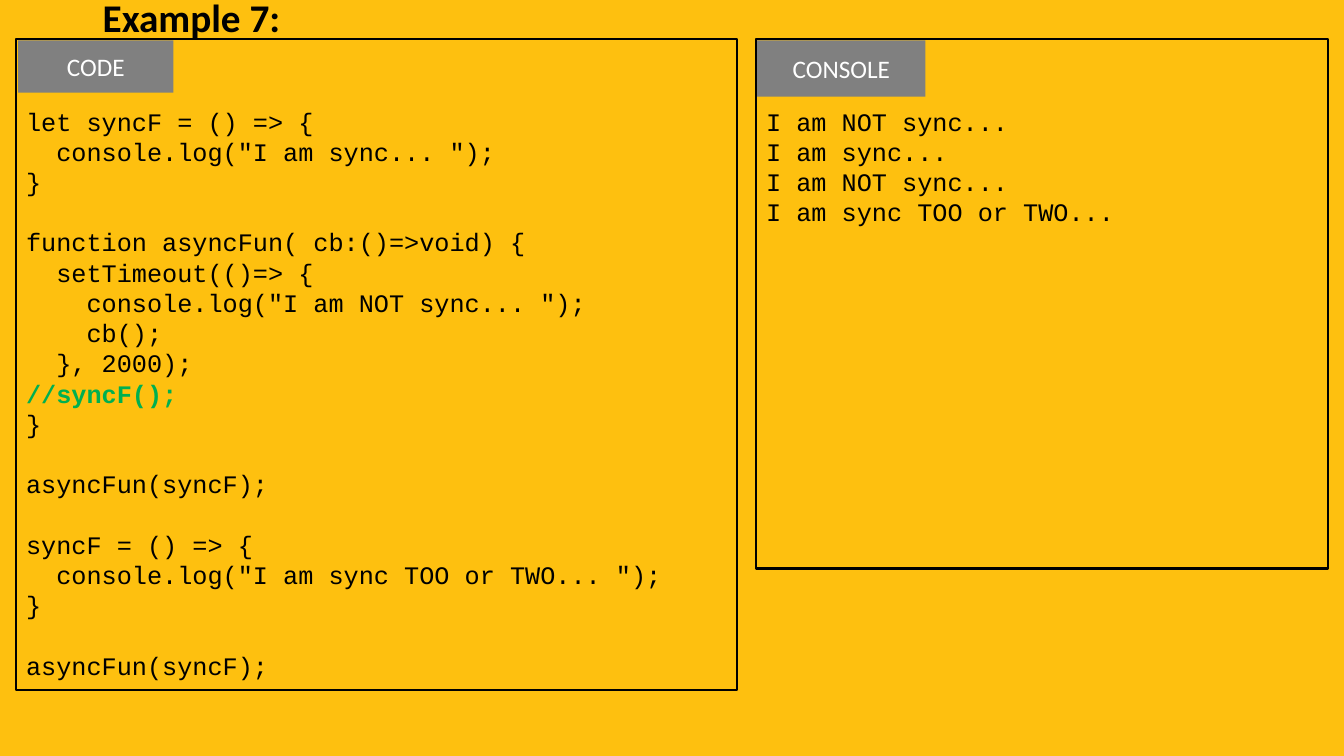
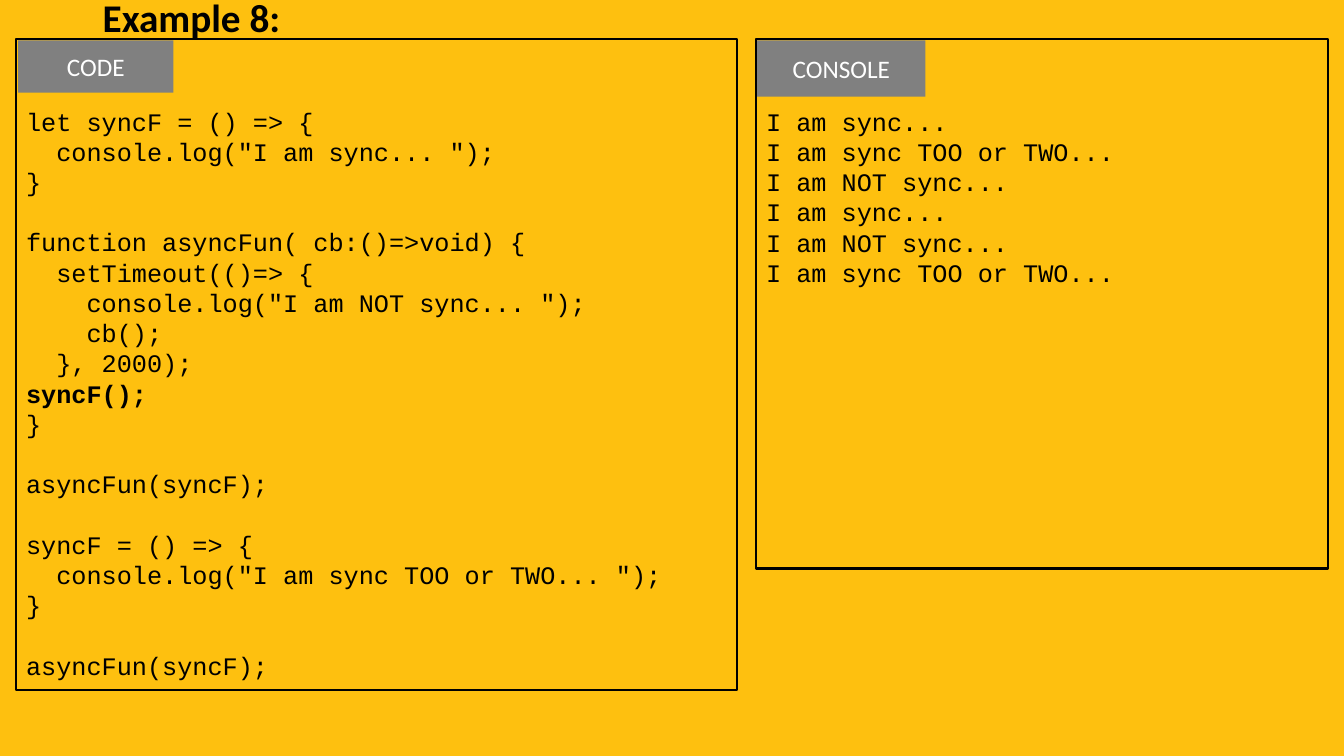
from pptx import Presentation
from pptx.dml.color import RGBColor as RGB
from pptx.enum.shapes import MSO_SHAPE as Shape
from pptx.enum.text import MSO_ANCHOR as Anchor, PP_ALIGN as Align
from pptx.util import Inches, Pt

HEAD = [
    ["let syncF = () => {", '  console.log("I am sync... ");', "}"],
    [
        "function asyncFun( cb:()=>void) {",
        "  setTimeout(()=> {",
        '    console.log("I am NOT sync... ");',
        "    cb();",
        "  }, 2000);",
    ],
]
TAIL = [
    ["asyncFun(syncF);"],
    ["syncF = () => {", '  console.log("I am sync TOO or TWO... ");', "}"],
    ["asyncFun(syncF);"],
]
SYNC, LATE, TOO = "I am sync...", "I am NOT sync...", "I am sync TOO or TWO..."

SLIDES = [
    dict(title="Example 7:", call="//syncF();", tone="note",
         log=[LATE, SYNC, LATE, TOO]),
    dict(title="Example 8:", call="syncF();", tone="ink",
         log=[SYNC, TOO, LATE, SYNC, LATE, TOO]),
]

THEME = dict(
    back=RGB(0xFE, 0xC0, 0x0F), ink=RGB(0, 0, 0), note=RGB(0x00, 0xB0, 0x50),
    tag=RGB(0x80, 0x80, 0x80), pale=RGB(0xFF, 0xFF, 0xFF),
    sans="Calibri", mono="Courier New", body=Pt(18), head=Pt(28),
    edge=Pt(1.5), gap=Pt(21.6), step=Inches(0.15), top=Inches(0.66),
)

PANELS = {
    "code": dict(box=(0.16, 0.39, 7.15, 6.46), tag=(0.18, 0.4, 1.54, 0.52)),
    "console": dict(box=(7.5, 0.39, 5.67, 5.25), tag=(7.51, 0.4, 1.67, 0.56)),
}
TITLE = (0.92, 0.03, 11.5, 0.34)


def place(area):
    return [Inches(v) for v in area]


def apply(item, **vals):
    for name, val in vals.items():
        setattr(item, name, val)


def write(para, text, tone="ink", face="mono", size="body", bold=False):
    run = para.add_run()
    run.text = text
    apply(run.font, name=THEME[face], size=THEME[size], bold=bold)
    run.font.color.rgb = THEME[tone]


def add_rect(slide, area, fill=None, edge=None):
    rect = slide.shapes.add_shape(Shape.RECTANGLE, *place(area))
    rect.shadow.inherit = False
    if fill:
        rect.fill.solid()
        rect.fill.fore_color.rgb = THEME[fill]
    else:
        rect.fill.background()
    if edge:
        rect.line.color.rgb = THEME[edge]
        rect.line.width = THEME["edge"]
    else:
        rect.line.fill.background()
    return rect.text_frame


def add_panel(slide, name, blocks, marks):
    frame = add_rect(slide, PANELS[name]["box"], edge="ink")
    apply(frame, word_wrap=True, vertical_anchor=Anchor.TOP,
          margin_top=THEME["top"])
    para = None
    for block in blocks:
        for row, line in enumerate(block):
            first = para is None
            para = frame.paragraphs[0] if first else frame.add_paragraph()
            apply(para, alignment=Align.LEFT,
                  space_before=Pt(0) if row or first else THEME["gap"])
            text = line.lstrip()
            inset = (len(line) - len(text)) * THEME["step"]
            para._p.get_or_add_pPr().set("marL", str(inset))
            write(para, text, **marks.get(line, {}))

    frame = add_rect(slide, PANELS[name]["tag"], fill="tag")
    frame.vertical_anchor = Anchor.MIDDLE
    para = frame.paragraphs[0]
    para.alignment = Align.CENTER
    write(para, name.upper(), tone="pale", face="sans")


def add_title(slide, text):
    frame = slide.shapes.add_textbox(*place(TITLE)).text_frame
    apply(frame, word_wrap=True, vertical_anchor=Anchor.MIDDLE)
    para = frame.paragraphs[0]
    para.line_spacing = 0.9
    write(para, text, face="sans", size="head", bold=True)


def main():
    prs = Presentation()
    apply(prs, slide_width=Inches(13.33), slide_height=Inches(7.5))
    back = prs.slide_master.background.fill
    back.solid()
    back.fore_color.rgb = THEME["back"]
    for data in SLIDES:
        slide = prs.slides.add_slide(prs.slide_layouts[6])
        call = data["call"]
        code = [HEAD[0], HEAD[1] + [call, "}"], *TAIL]
        marks = {call: dict(tone=data["tone"], bold=True)}
        add_panel(slide, "code", code, marks)
        add_panel(slide, "console", [data["log"]], {})
        add_title(slide, data["title"])
    prs.save("out.pptx")


if __name__ == "__main__":
    main()
